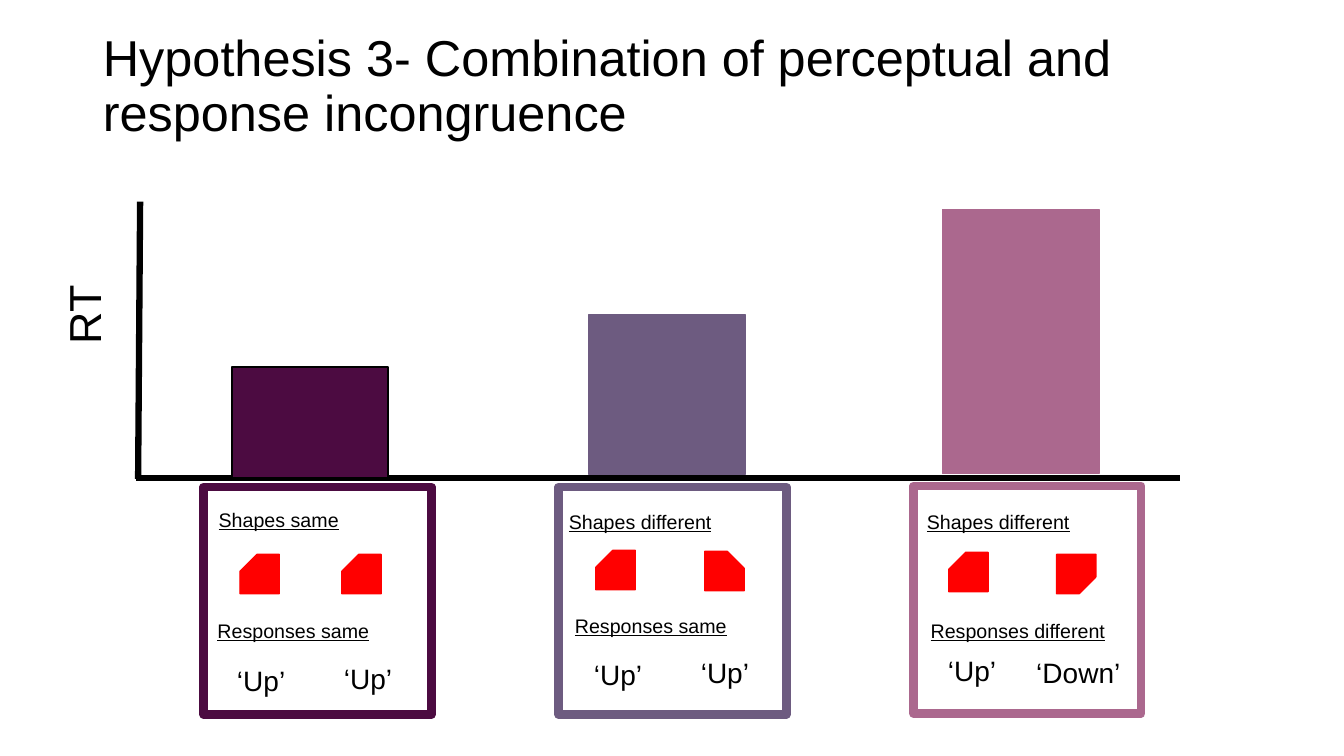
from pptx import Presentation
from pptx.dml.color import RGBColor
from pptx.enum.shapes import MSO_CONNECTOR, MSO_SHAPE
from pptx.enum.text import MSO_ANCHOR, MSO_AUTO_SIZE, PP_ALIGN
from pptx.oxml.ns import qn
from pptx.util import Inches, Pt

RECTANGLE, SNIPPED = MSO_SHAPE.RECTANGLE, MSO_SHAPE.SNIP_1_RECTANGLE
STRAIGHT = MSO_CONNECTOR.STRAIGHT
TOP, CENTER, NO_AUTOFIT = MSO_ANCHOR.TOP, PP_ALIGN.CENTER, MSO_AUTO_SIZE.NONE

# Content: positions in inches
TITLE = "Hypothesis 3- Combination of perceptual and response incongruence"
AXIS_LABEL = "RT"
AXES = [((1.39, 2.0), (1.37, 4.75)), ((1.35, 4.74), (11.7, 4.74))]
TOP_LEFT, TOP_RIGHT, BOTTOM_RIGHT = 270, 0, 90  # turn that puts the cut in this corner
CONDITIONS = [
    {
        "color": "dark", "bar": (2.3, 3.64, 1.1), "bar_line": "black", "frame": (2.02, 4.83),
        "headings": [("Shapes same", 2.03, 4.99, 1.47), ("Responses same", 2.02, 6.09, 1.78)],
        "stimuli": [(2.38, 5.5, TOP_LEFT), (3.39, 5.5, TOP_LEFT)],
        "responses": [("‘Up’", 2.25, 6.53, 0.68), ("‘Up’", 3.31, 6.51, 0.68)],
    },
    {
        "color": "middle", "bar": (5.84, 3.12, 1.59), "bar_line": "middle", "frame": (5.54, 4.83),
        "headings": [("Shapes different", 5.47, 5.01, 1.76), ("Responses same", 5.59, 6.04, 1.73)],
        "stimuli": [(5.91, 5.46, TOP_LEFT), (6.99, 5.47, TOP_RIGHT)],
        "responses": [("‘Up’", 5.79, 6.47, 0.68), ("‘Up’", 6.85, 6.45, 0.68)],
    },
    {
        "color": "light", "bar": (9.35, 2.08, 2.62), "bar_line": "light", "frame": (9.06, 4.82),
        "headings": [("Shapes different", 8.99, 5.01, 1.82), ("Responses different", 9.02, 6.09, 2.15)],
        "stimuli": [(9.41, 5.48, TOP_LEFT), (10.48, 5.5, BOTTOM_RIGHT)],
        "responses": [("‘Up’", 9.3, 6.43, 0.68), ("‘Down’", 10.1, 6.45, 1.19)],
    },
]
BAR_WIDTH, FRAME_SIZE, STIMULUS_SIZE, CUT = 1.55, 2.26, 0.39, 0.43

THEME = {
    "font": "Arial",
    "colors": {"black": "000000", "dark": "4C0B41", "middle": "6D5B80",
               "light": "AB688E", "stimulus": "FF0000"},
    "sizes": {"title": 36, "axis": 32, "response": 20, "heading": 14},
    "lines": {"thin": 1, "axis": 4.5, "frame": 6},
}


def color(name):
    return RGBColor.from_string(THEME["colors"][name])


def style_paragraph(paragraph, role, underline=None):
    paragraph.font.name = THEME["font"]
    paragraph.font.size = Pt(THEME["sizes"][role])
    paragraph.font.color.rgb = color("black")
    paragraph.font.underline = underline


def add_label(slide, text, left, top, width, height, role, underline=None):
    box = slide.shapes.add_textbox(Inches(left), Inches(top), Inches(width), Inches(height))
    box.text_frame.word_wrap = True
    paragraph = box.text_frame.paragraphs[0]
    paragraph.text = text
    paragraph.alignment = CENTER
    style_paragraph(paragraph, role, underline)
    return box


def add_block(slide, kind, left, top, width, height, fill, line, weight="thin"):
    shape = slide.shapes.add_shape(kind, Inches(left), Inches(top), Inches(width), Inches(height))
    shape.shadow.inherit = False
    if fill:
        shape.fill.solid()
        shape.fill.fore_color.rgb = color(fill)
    else:
        shape.fill.background()
    shape.line.color.rgb = color(line)
    shape.line.width = Pt(THEME["lines"][weight])
    return shape


def add_axis(slide, start, end):
    points = [Inches(value) for value in start + end]
    axis = slide.shapes.add_connector(STRAIGHT, *points)
    axis.line.color.rgb = color("black")
    axis.line.width = Pt(THEME["lines"]["axis"])
    properties = axis._element.spPr
    properties.append(properties.makeelement(qn("a:effectLst"), {}))


def add_condition(slide, condition):
    # Frame with headings and responses
    name = condition["color"]
    add_block(slide, RECTANGLE, *condition["frame"], FRAME_SIZE, FRAME_SIZE, None, name, "frame")
    for text, left, top, width in condition["headings"]:
        add_label(slide, text, left, top, width, 0.34, "heading", True)
    for text, left, top, width in condition["responses"]:
        add_label(slide, text, left, top, width, 0.44, "response")

    # Stimuli with one cut corner
    for left, top, turn in condition["stimuli"]:
        stimulus = add_block(slide, SNIPPED, left, top, STIMULUS_SIZE, STIMULUS_SIZE,
                             "stimulus", "stimulus")
        stimulus.adjustments[0] = CUT
        stimulus.rotation = turn

    # Bar
    left, top, height = condition["bar"]
    add_block(slide, RECTANGLE, left, top, BAR_WIDTH, height, name, condition["bar_line"])


def main():
    presentation = Presentation()
    presentation.slide_width, presentation.slide_height = Inches(13.33), Inches(7.5)
    slide = presentation.slides.add_slide(presentation.slide_layouts[5])

    # Title
    title = slide.shapes.title
    title.left, title.top = Inches(0.92), Inches(0.33)
    title.width, title.height = Inches(11.5), Inches(1.45)
    frame = title.text_frame
    frame.text = TITLE
    frame.word_wrap = True
    frame.auto_size = NO_AUTOFIT
    frame.vertical_anchor = TOP
    frame.margin_top = 0
    paragraph = frame.paragraphs[0]
    paragraph.alignment = PP_ALIGN.LEFT
    paragraph.line_spacing = 0.9
    style_paragraph(paragraph, "title")

    # Axes
    for start, end in AXES:
        add_axis(slide, start, end)
    add_label(slide, AXIS_LABEL, 0.31, 2.8, 1.04, 0.64, "axis").rotation = 270

    # Conditions
    for condition in CONDITIONS:
        add_condition(slide, condition)

    presentation.save("out.pptx")


if __name__ == "__main__":
    main()
